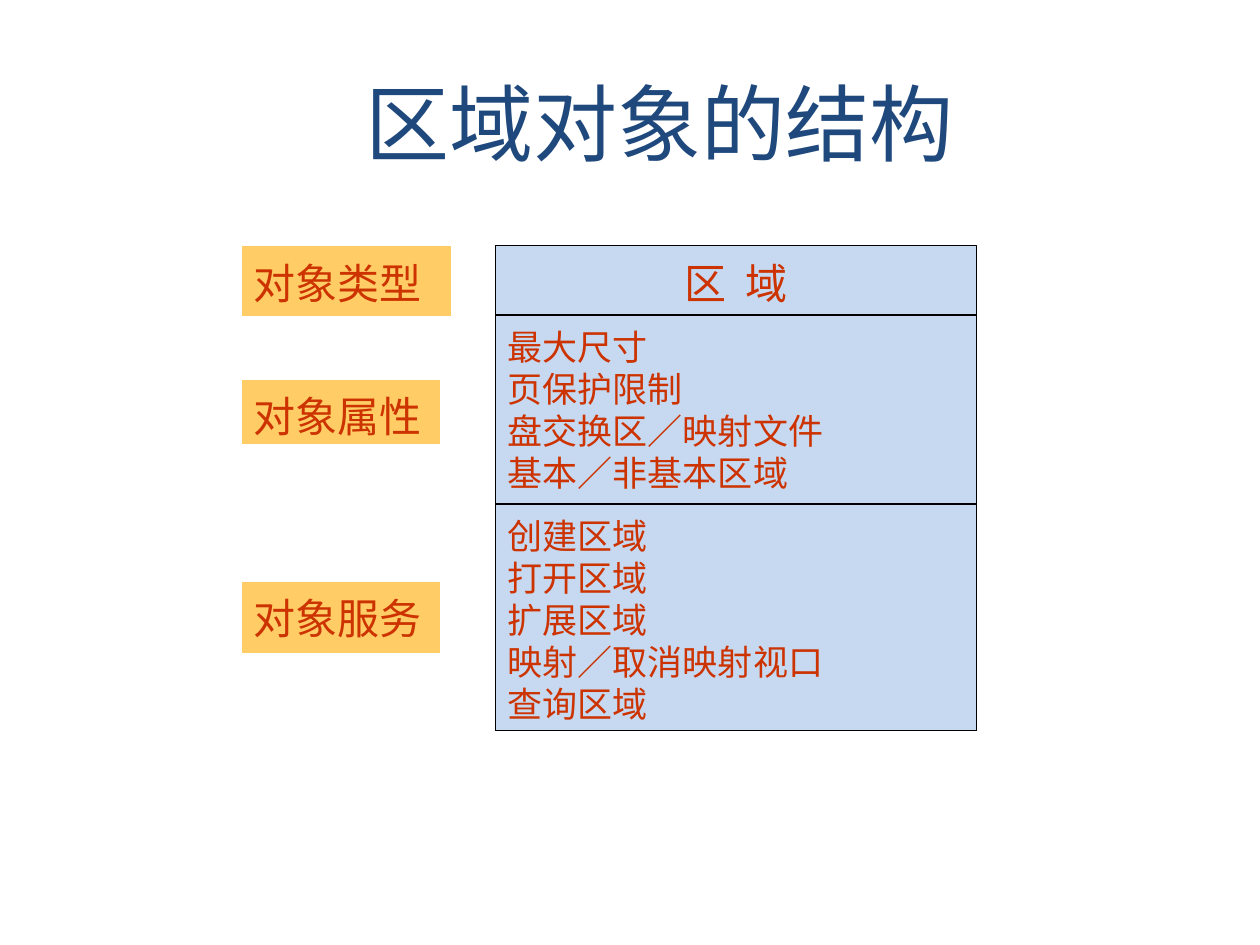
from pptx import Presentation
from pptx.dml.color import RGBColor
from pptx.enum.shapes import MSO_SHAPE as SHAPE
from pptx.enum.text import MSO_ANCHOR as ANCHOR, PP_ALIGN as ALIGN
from pptx.oxml.ns import qn
from pptx.util import Pt
from lxml.etree import SubElement

NAVY = RGBColor(0x1F, 0x49, 0x7D)
RED = RGBColor(0xCC, 0x33, 0x00)
PALE_BLUE = RGBColor(0xC6, 0xD9, 0xF1)
ORANGE = RGBColor(0xFF, 0xCC, 0x66)
BLACK = RGBColor(0, 0, 0)
WHITE = RGBColor(0xFF, 0xFF, 0xFF)


class SlideBuilder:
    font = "Noto Sans CJK JP"
    line_factor = 1.2   # line height per point of text size
    drop = 0.12         # extra top inset that centres text in its line

    def __init__(self, slide):
        self.s = slide

    def add_lines(self, shape, lines, size, color, align=ALIGN.LEFT):
        tf = shape.text_frame
        frame = dict(word_wrap=True, vertical_anchor=ANCHOR.TOP,
                     margin_left=Pt(7.2), margin_right=Pt(7.2),
                     margin_top=Pt(3.6 + self.drop * size), margin_bottom=Pt(3.6))
        for name, value in frame.items():
            setattr(tf, name, value)
        for i, line in enumerate(lines):
            p = tf.add_paragraph() if i else tf.paragraphs[0]
            p.alignment = align
            p.line_spacing = Pt(size * self.line_factor)
            r = p.add_run()
            r.text = line
            for name, value in dict(size=Pt(size), name=self.font).items():
                setattr(r.font, name, value)
            r.font.color.rgb = color
            SubElement(r._r.get_or_add_rPr(), qn("a:ea"), typeface=self.font)

    def text(self, box, line, size, color):
        sp = self.s.shapes.add_textbox(*map(Pt, box))
        self.add_lines(sp, [line], size, color)

    def box(self, box, lines, size, fill, border, align=ALIGN.LEFT):
        sp = self.s.shapes.add_shape(SHAPE.RECTANGLE, *map(Pt, box))
        sp.shadow.inherit = False
        sp.fill.solid()
        sp.fill.fore_color.rgb = fill
        sp.line.color.rgb = border
        sp.line.width = Pt(0.75)
        self.add_lines(sp, lines, size, RED, align)


def main():
    prs = Presentation()
    prs.slide_width, prs.slide_height = Pt(720), Pt(540)
    b = SlideBuilder(prs.slides.add_slide(prs.slide_layouts[6]))

    # Object structure: type, attributes, services
    left, width, bottom = 283, 275, 417.6
    b.box((left, 140.4, width, 39.6), ["区  域"], 24, PALE_BLUE, BLACK, ALIGN.CENTER)
    sections = [
        (180, ["最大尺寸", "页保护限制", "盘交换区／映射文件", "基本／非基本区域"]),
        (288, ["创建区域", "打开区域", "扩展区域", "映射／取消映射视口", "查询区域"]),
    ]
    for top, lines in sections:
        b.box((left, top, width, bottom - top), lines, 20, PALE_BLUE, BLACK)

    # Row labels
    labels = [("对象类型", 140.4, 120, 40.8),
              ("对象属性", 216.7, 113.6, 37.4),
              ("对象服务", 332.2, 113.6, 41.4)]
    for label, top, label_width, height in labels:
        b.box((138, top, label_width, height), [label], 24, ORANGE, WHITE)

    # Title
    b.text((201.6, 31.7, 410.4, 64.8), "区域对象的结构", 48, NAVY)

    prs.save("out.pptx")


if __name__ == "__main__":
    main()
